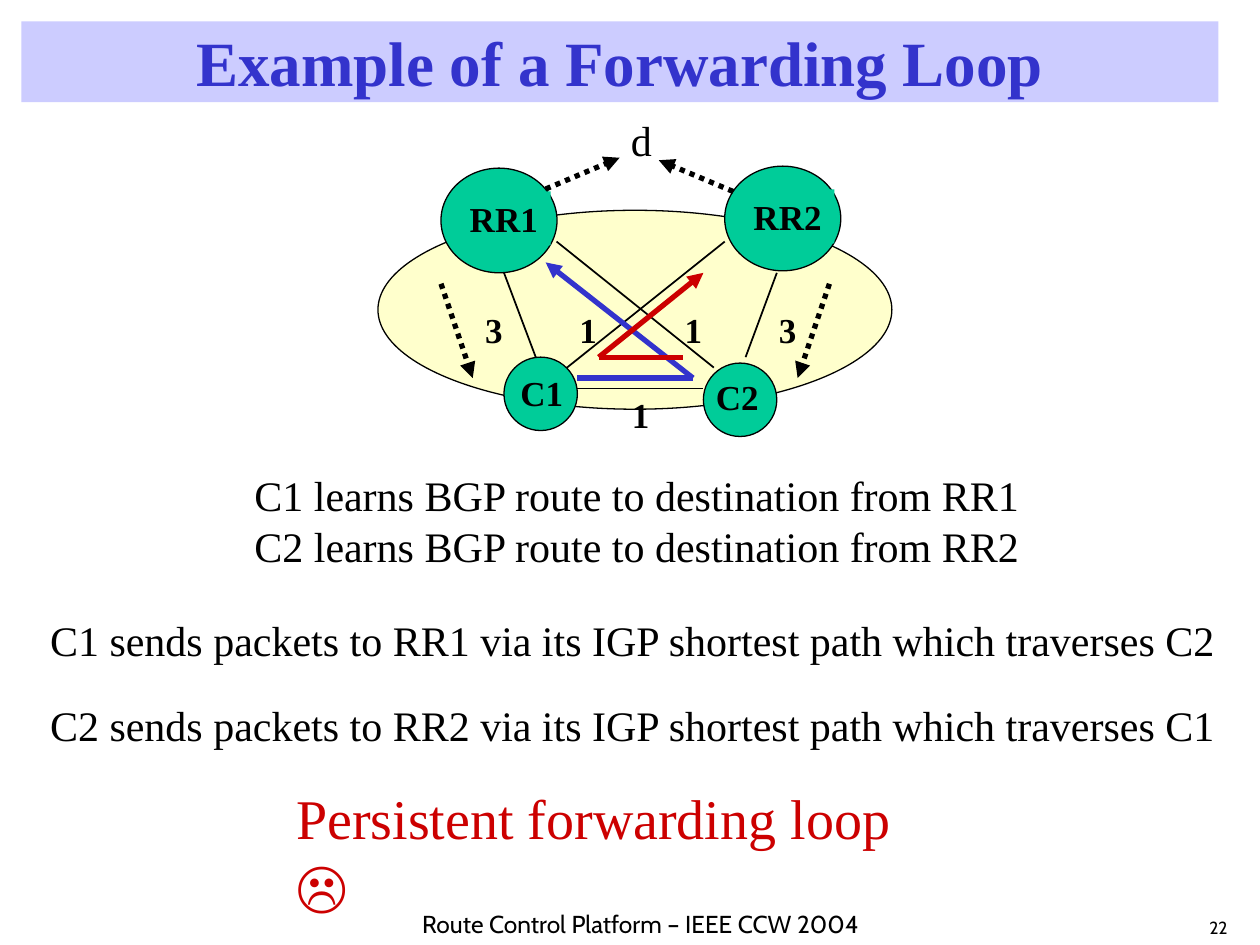
from pptx import Presentation
from pptx.dml.color import RGBColor
from pptx.enum.dml import MSO_LINE
from pptx.enum.shapes import MSO_CONNECTOR, MSO_SHAPE
from pptx.enum.text import MSO_ANCHOR, MSO_AUTO_SIZE, PP_ALIGN
from pptx.oxml.ns import qn
from pptx.util import Cm, Pt
from lxml.etree import SubElement

COLORS = {
    "black": "000000", "blue": "3333CC", "red": "CC0000", "banner": "CCCCFF",
    "network": "FFFFCC", "router": "00CC99",
}
SERIF, SANS = "Times New Roman", "Cabin"


def rgb(name):
    return RGBColor.from_string(COLORS[name])


def fill(sp, color):
    sp.fill.solid()
    sp.fill.fore_color.rgb = rgb(color)


def write(sp, text, size, color="black", bold=False, font=SERIF,
          align=PP_ALIGN.LEFT, wrap=False):
    tf = sp.text_frame
    tf.text = text
    tf.word_wrap = wrap
    tf.auto_size = MSO_AUTO_SIZE.NONE
    for p in tf.paragraphs:
        p.alignment = align
        for r in p.runs:
            r.font.name, r.font.size, r.font.bold = font, Pt(size), bold
            r.font.color.rgb = rgb(color)


def add_text(s, text, x, y, w, h, size=24, **style):
    sp = s.shapes.add_textbox(Cm(x), Cm(y), Cm(w), Cm(h))
    write(sp, text, size, **style)
    return sp


def add_ellipse(s, x, y, w, h, color):
    sp = s.shapes.add_shape(MSO_SHAPE.OVAL, Cm(x), Cm(y), Cm(w), Cm(h))
    sp.shadow.inherit = False
    fill(sp, color)
    sp.line.color.rgb = rgb("black")
    sp.line.width = Pt(0.75)


def add_line(s, start, end, color="black", width=1, dotted=False, arrow=False):
    c = s.shapes.add_connector(MSO_CONNECTOR.STRAIGHT,
                               *(Cm(v) for v in (*start, *end)))
    c.line.color.rgb = rgb(color)
    c.line.width = Pt(width)
    if dotted:
        c.line.dash_style = MSO_LINE.ROUND_DOT
    if arrow:
        SubElement(c.line._get_or_add_ln(), qn("a:tailEnd"), type="triangle")
    SubElement(c._element.spPr, qn("a:effectLst"))


def add_title(s, text):
    sp = s.shapes.title
    sp.left, sp.top, sp.width, sp.height = Cm(0.43), Cm(0.43), Cm(24.13), Cm(1.63)
    fill(sp, "banner")
    write(sp, text, 36, "blue", bold=True, align=PP_ALIGN.CENTER, wrap=True)
    sp.text_frame.vertical_anchor = MSO_ANCHOR.MIDDLE


def add_network(s):
    add_ellipse(s, 7.62, 4.24, 10.36, 4.01, "network")

    # Route reflectors
    for name, x, y in (("RR1", 8.89, 3.39), ("RR2", 14.61, 3.35)):
        add_ellipse(s, x, y, 2.34, 2.11, "router")
        fill(add_text(s, name, x + 0.33, y + 0.47, 1.88, 1.09, 20, bold=True),
             "router")

    # Clients
    for name, x, y, text_x, text_y in (("C1", 10.16, 7.2, 10.24, 7.37),
                                       ("C2", 14.18, 7.32, 14.18, 7.44)):
        add_ellipse(s, x, y, 1.48, 1.48, "router")
        add_text(s, name, text_x, text_y, 1.37, 1.09, 20, bold=True)

    # Links and their costs
    for start, end in (((10.16, 5.5), (10.8, 7.2)), ((15.03, 7.2), (15.66, 5.5)),
                       ((11.64, 7.83), (14.18, 7.83)),
                       ((11.43, 7.41), (14.61, 4.87)),
                       ((11.22, 4.87), (14.39, 7.41))):
        add_line(s, start, end)
    for cost, x, y in (("3", 9.53, 6.1), ("3", 15.45, 6.1), ("1", 12.49, 7.8),
                       ("1", 11.43, 6.1), ("1", 13.55, 6.1)):
        add_text(s, cost, x, y, 0.86, 1.09, 20, bold=True)

    # Destination and learned routes
    add_text(s, "d", 12.47, 2.18, 0.94, 1.27)
    for start, end in (((11, 3.81), (12.49, 3.18)), ((14.78, 3.86), (13.28, 3.23)),
                       ((8.89, 5.72), (9.53, 7.62)), ((16.72, 5.72), (16.08, 7.62))):
        add_line(s, start, end, width=3, dotted=True, arrow=True)


def add_packet_path(s, color, start, turn, end):
    add_line(s, start, turn, color, 3)
    add_line(s, turn, end, color, 3, arrow=True)


def main():
    prs = Presentation()
    prs.slide_width, prs.slide_height = Cm(25.4), Cm(19.05)
    s = prs.slides.add_slide(prs.slide_layouts[5])

    add_title(s, "Example of a Forwarding Loop")
    add_network(s)
    add_packet_path(s, "blue", (11.64, 7.62), (13.97, 7.62), (11, 5.29))
    add_packet_path(s, "red", (13.76, 7.2), (12.07, 7.2), (14.18, 5.5))

    # Explanation
    add_text(s, "C1 learns BGP route to destination from RR1\n"
                "C2 learns BGP route to destination from RR2", 4.88, 9.35, 15.95, 2.29)
    for a, b, y in ((1, 2, 12.27), (2, 1, 13.97)):
        add_text(s, f"C{a} sends packets to RR{a} via its IGP shortest path "
                    f"which traverses C{b}", 0.76, y, 24, 1.27)
    add_text(s, "Persistent forwarding loop ☹", 5.72, 15.67, 13.72, 1.6, 32,
             color="red", wrap=True)

    # Footer
    add_text(s, "Route Control Platform – IEEE CCW 2004", 7.62, 18.21, 10.59, 0.84,
             14, font=SANS, align=PP_ALIGN.CENTER, wrap=True)
    add_text(s, "22", 24.13, 18.36, 1.27, 0.69, 10, font=SANS)

    prs.save("out.pptx")


if __name__ == "__main__":
    main()
